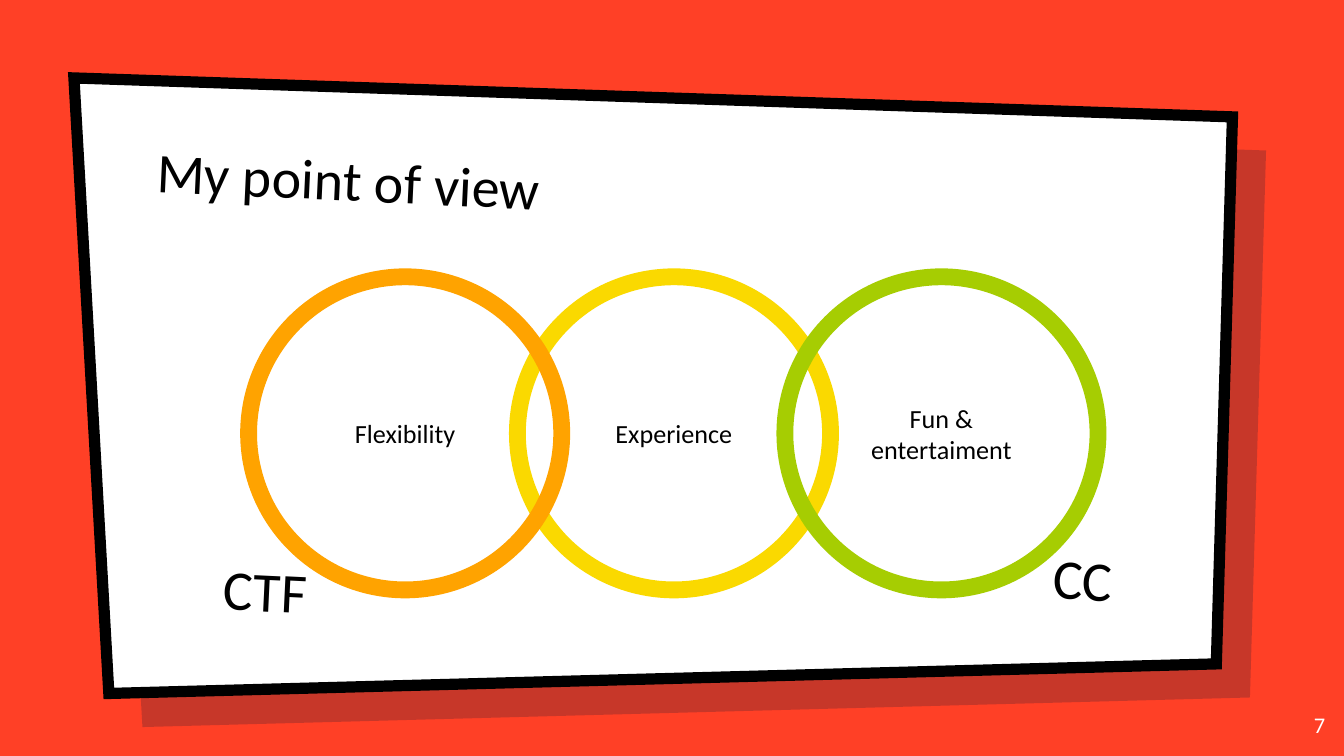
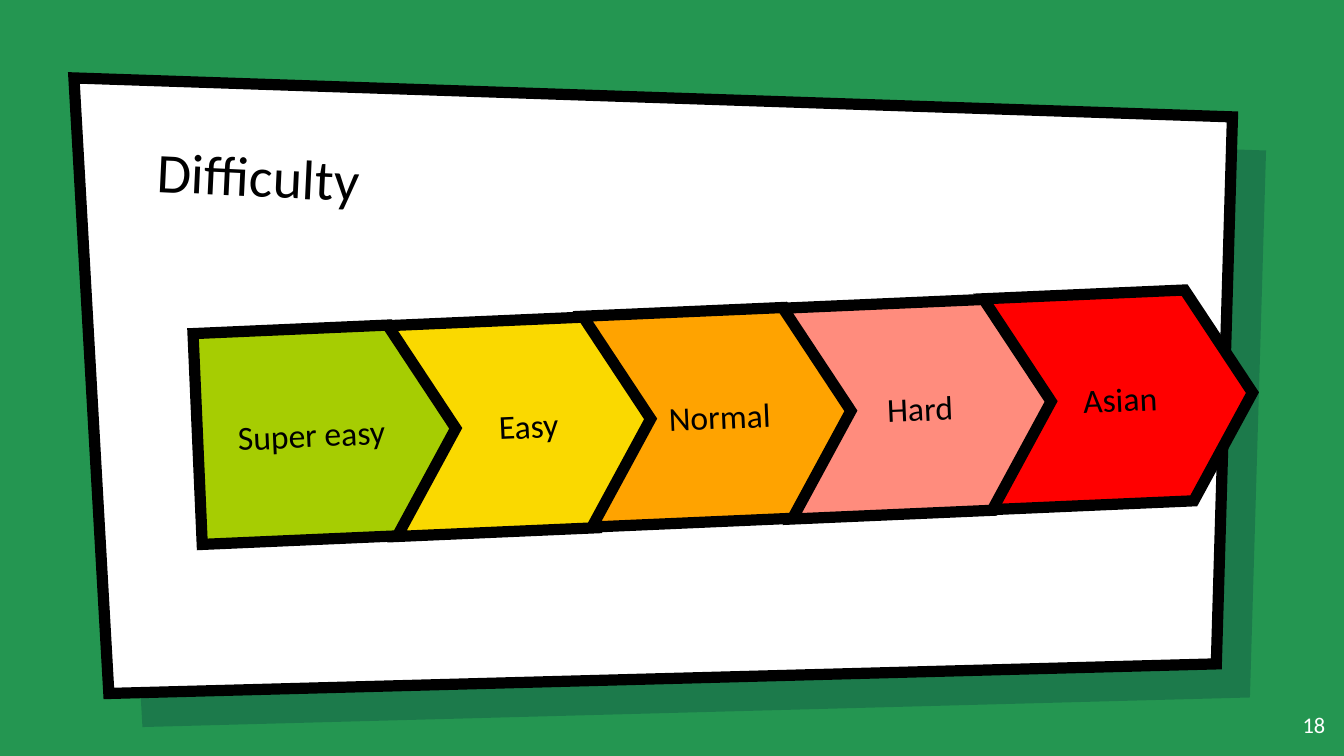
"""Build two slides that share a tilted white panel on a coloured background."""
from lxml.etree import SubElement
from pptx import Presentation
from pptx.dml.color import RGBColor
from pptx.enum.shapes import MSO_SHAPE
from pptx.enum.text import MSO_ANCHOR, PP_ALIGN
from pptx.oxml.ns import qn
from pptx.util import Inches, Pt

FONT = "Calibri"
BLACK = RGBColor(0x00, 0x00, 0x00)
WHITE = RGBColor(0xFF, 0xFF, 0xFF)
NAVY = RGBColor(0x00, 0x19, 0x36)
TOMATO = RGBColor(0xFF, 0x40, 0x26)
GREEN = RGBColor(0x24, 0x96, 0x51)
YELLOW = RGBColor(0xFA, 0xD9, 0x00)
ORANGE = RGBColor(0xFF, 0xA3, 0x00)
LIME = RGBColor(0xA6, 0xCD, 0x02)
SALMON = RGBColor(0xFF, 0x8C, 0x7D)
RED = RGBColor(0xFF, 0x00, 0x00)

PANEL = [(0.55, 0.58), (9.17, 0.87), (9.05, 4.94), (0.81, 5.16)]
SHADOW_OFFSET = 0.25
TITLE_BOX = (1.07, 0.96, 7.69)
TILT = 2.7


def write(sp, text, size, color=BLACK, align=PP_ALIGN.CENTER, anchor=MSO_ANCHOR.MIDDLE):
    tf = sp.text_frame
    tf.word_wrap = True
    tf.vertical_anchor = anchor
    tf.margin_left = tf.margin_right = tf.margin_top = tf.margin_bottom = Inches(0.1)
    p = tf.paragraphs[0]
    p.alignment = align
    r = p.add_run()
    r.text = text
    r.font.name = FONT
    r.font.size = Pt(size)
    r.font.color.rgb = color


def paint(sp, fill, line, width):
    sp.shadow.inherit = False
    if fill is None:
        sp.fill.background()
    else:
        sp.fill.solid()
        sp.fill.fore_color.rgb = fill
    if line is None:
        sp.line.fill.background()
    else:
        sp.line.color.rgb = line
        sp.line.width = Pt(width)
        SubElement(sp.element.spPr.find(qn("a:ln")), qn("a:miter"), lim="800000")


prs = Presentation()
prs.slide_width = Inches(10)
prs.slide_height = prs.slide_width * 9 // 16

pages = [
    (TOMATO, "7", [("My point of view", *TITLE_BOX), ("CTF", 1.57, 3.91, 1.02), ("CC", 7.74, 3.83, 1.02)]),
    (GREEN, "18", [("Difficulty", *TITLE_BOX)]),
]
slides = []
for background, number, headings in pages:
    s = prs.slides.add_slide(prs.slide_layouts[6])
    s.background.fill.solid()
    s.background.fill.fore_color.rgb = background
    for offset, fill, line in [(SHADOW_OFFSET, NAVY, None), (0, WHITE, BLACK)]:
        corners = [(Inches(x + offset), Inches(y + offset)) for x, y in PANEL]
        outline = s.shapes.build_freeform(*corners[0])
        outline.add_line_segments(corners[1:])
        sp = outline.convert_to_shape()
        paint(sp, fill, line, 6)
        if offset:
            color = sp.element.spPr.find(qn("a:solidFill"))[0]
            SubElement(color, qn("a:alpha"), val="22000")
    for text, left, top, width in headings:
        sp = s.shapes.add_textbox(Inches(left), Inches(top), Inches(width), Inches(0.83))
        sp.rotation = TILT
        write(sp, text, 30, align=PP_ALIGN.LEFT, anchor=MSO_ANCHOR.BOTTOM)
    sp = s.shapes.add_textbox(Inches(9.36), Inches(5.19), Inches(0.6), Inches(0.43))
    write(sp, number, 12, WHITE, PP_ALIGN.RIGHT, MSO_ANCHOR.TOP)
    slides.append(s)

view, difficulty = slides

rings = [
    ("Experience", 3.85, YELLOW),
    ("Flexibility", 1.85, ORANGE),
    ("Fun & entertaiment", 5.84, LIME),
]
for text, left, color in rings:
    sp = view.shapes.add_shape(
        MSO_SHAPE.OVAL, Inches(left), Inches(2.06), Inches(2.33), Inches(2.33))
    paint(sp, None, color, 9)
    write(sp, text, 14)

steps = [
    ("Super easy", 1.47, 2.44, LIME),
    (" Easy", 2.92, 2.38, YELLOW),
    ("Normal", 4.37, 2.31, ORANGE),
    ("Hard", 5.86, 2.25, SALMON),
    ("Asian", 7.35, 2.18, RED),
]
for i, (text, left, top, color) in enumerate(steps):
    kind, width = (MSO_SHAPE.CHEVRON, 1.97) if i else (MSO_SHAPE.PENTAGON, 1.93)
    sp = difficulty.shapes.add_shape(
        kind, Inches(left), Inches(top), Inches(width), Inches(1.57))
    sp.adjustments[0] = 0.3
    sp.rotation = 357.5
    paint(sp, color, BLACK, 6)
    write(sp, text, 18)

prs.save("out.pptx")
